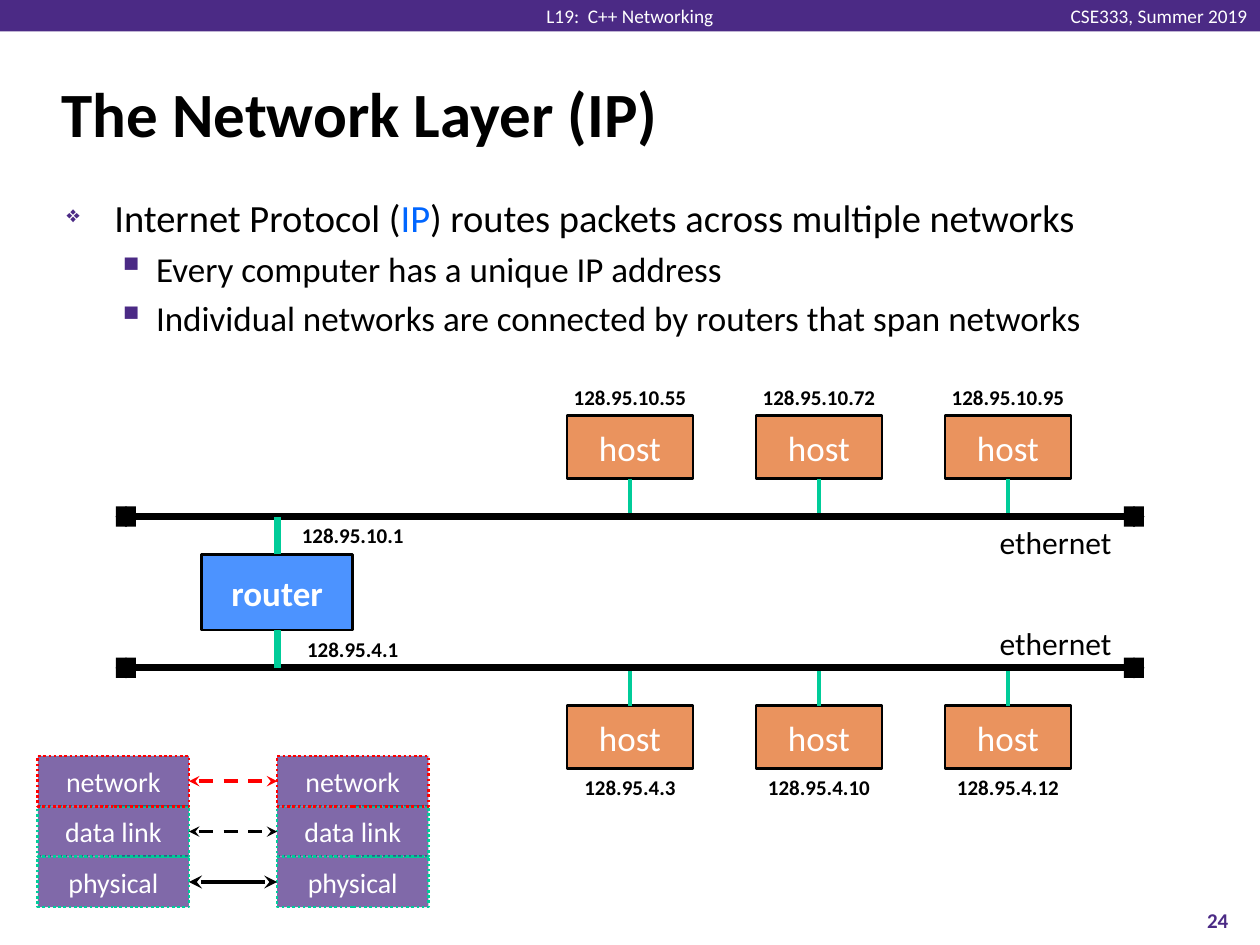
"""Build the slide on the network layer, with two ethernets, a router and a layer stack."""
import dataclasses
import typing

import pptx
import pptx.dml.color
import pptx.enum.dml
import pptx.enum.shapes
import pptx.enum.text
import pptx.oxml
import pptx.oxml.ns
import pptx.shapes.autoshape
import pptx.shapes.connector
import pptx.slide
import pptx.text.text
import pptx.util

PX = 9144
Align = pptx.enum.text.PP_ALIGN
Anchor = pptx.enum.text.MSO_ANCHOR
Dash = pptx.enum.dml.MSO_LINE
Shape = pptx.shapes.autoshape.Shape
Link = pptx.shapes.connector.Connector
Slide = pptx.slide.Slide
Para = pptx.text.text._Paragraph
qn = pptx.oxml.ns.qn


@dataclasses.dataclass(frozen=True)
class Theme:
    font: str = "Calibri"
    black: str = "000000"
    white: str = "FFFFFF"
    purple: str = "4B2A85"
    orange: str = "E2661A"
    blue: str = "0066FF"
    green: str = "00CC99"
    red: str = "FF0000"
    title: int = 36
    lead: int = 22
    body: int = 20
    note: int = 18
    layer: int = 16
    small: int = 12
    header: int = 11


@dataclasses.dataclass(frozen=True)
class Box:
    left: int
    top: int
    width: int
    height: int


@dataclasses.dataclass(frozen=True)
class Net:
    bus: int
    host: int
    label: int
    name: int
    side: int
    hosts: tuple[str, ...]


@dataclasses.dataclass(frozen=True)
class Layer:
    name: str
    top: int
    edge: str
    arrow: str
    weight: float
    dash: typing.Any = None


THEME = Theme()
NETS = (
    Net(410, 330, 300, 410, 2, ("128.95.10.55", "128.95.10.72", "128.95.10.95")),
    Net(530, 560, 610, 490, 0, ("128.95.4.3", "128.95.4.10", "128.95.4.12")),
)
LAYERS = (
    Layer("physical", 680, THEME.green, THEME.black, 2.5),
    Layer("data link", 640, THEME.green, THEME.black, 2, Dash.DASH),
    Layer("network", 600, THEME.red, THEME.red, 2, Dash.DASH),
)


def rgb(color: str) -> pptx.dml.color.RGBColor:
    return pptx.dml.color.RGBColor.from_string(color)


def write(para: Para, text: str, *, size: int, color: str = THEME.black,
          bold: bool = False, align: typing.Any = None) -> None:
    run = para.add_run()
    run.text = text
    run.font.name = THEME.font
    run.font.size = pptx.util.Pt(size)
    run.font.bold = bold
    run.font.color.rgb = rgb(color)
    if align is not None:
        para.alignment = align


def frame(shape: Shape, anchor: typing.Any, side: int = 10, edge: int = 5,
          wrap: bool = True) -> Para:
    text = shape.text_frame
    text.word_wrap = wrap
    text.vertical_anchor = anchor
    text.margin_left = text.margin_right = side * PX
    text.margin_top = text.margin_bottom = edge * PX
    return text.paragraphs[0]


def label(slide: Slide, box: Box, **form: typing.Any) -> Para:
    place = [value * PX for value in dataclasses.astuple(box)]
    return frame(slide.shapes.add_textbox(*place), **form)


def block(slide: Slide, box: Box, fill: str, edge: str | None = None,
          alpha: int = 100, dash: typing.Any = None) -> Shape:
    place = [value * PX for value in dataclasses.astuple(box)]
    shape = slide.shapes.add_shape(pptx.enum.shapes.MSO_SHAPE.RECTANGLE, *place)
    shape.shadow.inherit = False
    shape.fill.solid()
    shape.fill.fore_color.rgb = rgb(fill)
    if alpha < 100:
        tint = shape.element.spPr.find(".//" + qn("a:srgbClr"))
        pptx.oxml.ns.qn
        tint.append(node("alpha", val=alpha * 1000))
    if edge is None:
        shape.line.fill.background()
    else:
        shape.line.color.rgb = rgb(edge)
        shape.line.width = pptx.util.Pt(1.5)
        shape.line.dash_style = dash
    return shape


def node(tag: str, **attrs: typing.Any) -> typing.Any:
    space = pptx.oxml.ns.nsdecls("a")
    item = pptx.oxml.parse_xml(f"<a:{tag} {space}/>")
    for key, value in attrs.items():
        item.set(key, str(value))
    return item


def link(slide: Slide, start: tuple[int, int], end: tuple[int, int], color: str,
         weight: float, dash: typing.Any = None, tip: str = "") -> Link:
    ends = [value * PX for value in (*start, *end)]
    line = slide.shapes.add_connector(pptx.enum.shapes.MSO_CONNECTOR.STRAIGHT, *ends)
    line.line.color.rgb = rgb(color)
    line.line.width = pptx.util.Pt(weight)
    line.line.dash_style = dash
    form = line.element.spPr
    if tip:
        for tag in ("headEnd", "tailEnd"):
            form.find(qn("a:ln")).append(node(tag, type=tip))
    form.append(node("effectLst"))
    return line


def bullet(para: Para, mark: str, size: int, left: int, hang: int, scale: int) -> None:
    para.space_before = pptx.util.Pt(size * 0.2)
    props = para._p.get_or_add_pPr()
    props.set("marL", str(left * PX))
    props.set("indent", str(-hang * PX))
    tint = node("buClr")
    tint.append(node("srgbClr", val=THEME.purple))
    props.extend([tint, node("buSzPct", val=scale * 1000), node("buChar", char=mark)])


def draw_text(slide: Slide) -> None:
    block(slide, Box(0, 0, 1000, 25), THEME.purple)
    for box, text, align in (
        (Box(838, 3, 162, 19), "CSE333, Summer 2019", Align.RIGHT),
        (Box(423, 3, 154, 19), "L19:  C++ Networking", Align.CENTER),
    ):
        para = label(slide, box, anchor=Anchor.MIDDLE, edge=0, wrap=False)
        write(para, text, size=THEME.header, color=THEME.white, align=align)
    para = label(slide, Box(39, 48, 919, 83), anchor=Anchor.MIDDLE)
    write(para, "The Network Layer (IP)", size=THEME.title, bold=True)
    lead = label(slide, Box(43, 149, 915, 200), anchor=Anchor.TOP)
    bullet(lead, "❖", THEME.lead, 38, 38, 60)
    write(lead, "Internet Protocol (", size=THEME.lead)
    write(lead, "IP", size=THEME.lead, color=THEME.blue)
    write(lead, ") routes packets across multiple networks", size=THEME.lead)
    for text in ("Every computer has a unique IP address",
                 "Individual networks are connected by routers that span networks"):
        para = lead._parent.add_paragraph()
        para.level = 1
        bullet(para, "▪", THEME.body, 71, 31, 110)
        write(para, text, size=THEME.body)
    para = label(slide, Box(933, 710, 67, 40), anchor=Anchor.MIDDLE)
    write(para, "24", size=THEME.small, color=THEME.purple, bold=True, align=Align.CENTER)


def draw_net(slide: Slide, net: Net) -> None:
    for spot, addr in enumerate(net.hosts):
        left = 450 + 150 * spot
        host = block(slide, Box(left, net.host, 100, 50), THEME.orange, THEME.black, 70)
        write(frame(host, Anchor.MIDDLE), "host", size=THEME.body, color=THEME.white,
              align=Align.CENTER)
        para = label(slide, Box(left, net.label, 100, 30), anchor=Anchor.TOP, side=0)
        write(para, addr, size=THEME.small, bold=True, align=Align.CENTER)
        mid = left + 50
        wire = link(slide, (mid, net.host), (mid, net.bus), THEME.green, 2)
        wire.begin_connect(host, net.side)
    link(slide, (100, net.bus), (900, net.bus), THEME.black, 4, tip="diamond")
    for mid in (100, 900):
        block(slide, Box(mid - 8, net.bus - 8, 16, 16), THEME.black)
    para = label(slide, Box(671, net.name, 221, 40), anchor=Anchor.TOP)
    write(para, "ethernet", size=THEME.note, align=Align.RIGHT)


def draw_router(slide: Slide) -> None:
    router = block(slide, Box(160, 440, 120, 60), THEME.blue, THEME.black, 70)
    write(frame(router, Anchor.MIDDLE), "router", size=THEME.body, color=THEME.white,
          bold=True, align=Align.CENTER)
    for bus, top, side, addr in ((410, 410, 0, "128.95.10.1"), (530, 500, 2, "128.95.4.1")):
        wire = link(slide, (220, 470), (220, bus), THEME.green, 4)
        wire.begin_connect(router, side)
        para = label(slide, Box(220, top, 120, 30), anchor=Anchor.MIDDLE, side=0, edge=0)
        write(para, addr, size=THEME.small, bold=True, align=Align.CENTER)


def draw_layer(slide: Slide, layer: Layer) -> None:
    pair = []
    for left in (30, 220):
        shape = block(slide, Box(left, layer.top, 120, 40), THEME.purple, layer.edge, 70,
                      Dash.ROUND_DOT)
        write(frame(shape, Anchor.MIDDLE, side=0), layer.name, size=THEME.layer,
              color=THEME.white, align=Align.CENTER)
        pair.append(shape)
    mid = layer.top + 20
    arrow = link(slide, (150, mid), (220, mid), layer.arrow, layer.weight, layer.dash, "stealth")
    arrow.begin_connect(pair[0], 3)
    arrow.end_connect(pair[1], 1)


def main() -> None:
    deck = pptx.Presentation()
    deck.slide_width, deck.slide_height = 1000 * PX, 750 * PX
    slide = deck.slides.add_slide(deck.slide_layouts[6])
    draw_text(slide)
    for net in NETS:
        draw_net(slide, net)
    draw_router(slide)
    for layer in LAYERS:
        draw_layer(slide, layer)
    deck.save("out.pptx")


if __name__ == "__main__":
    main()
